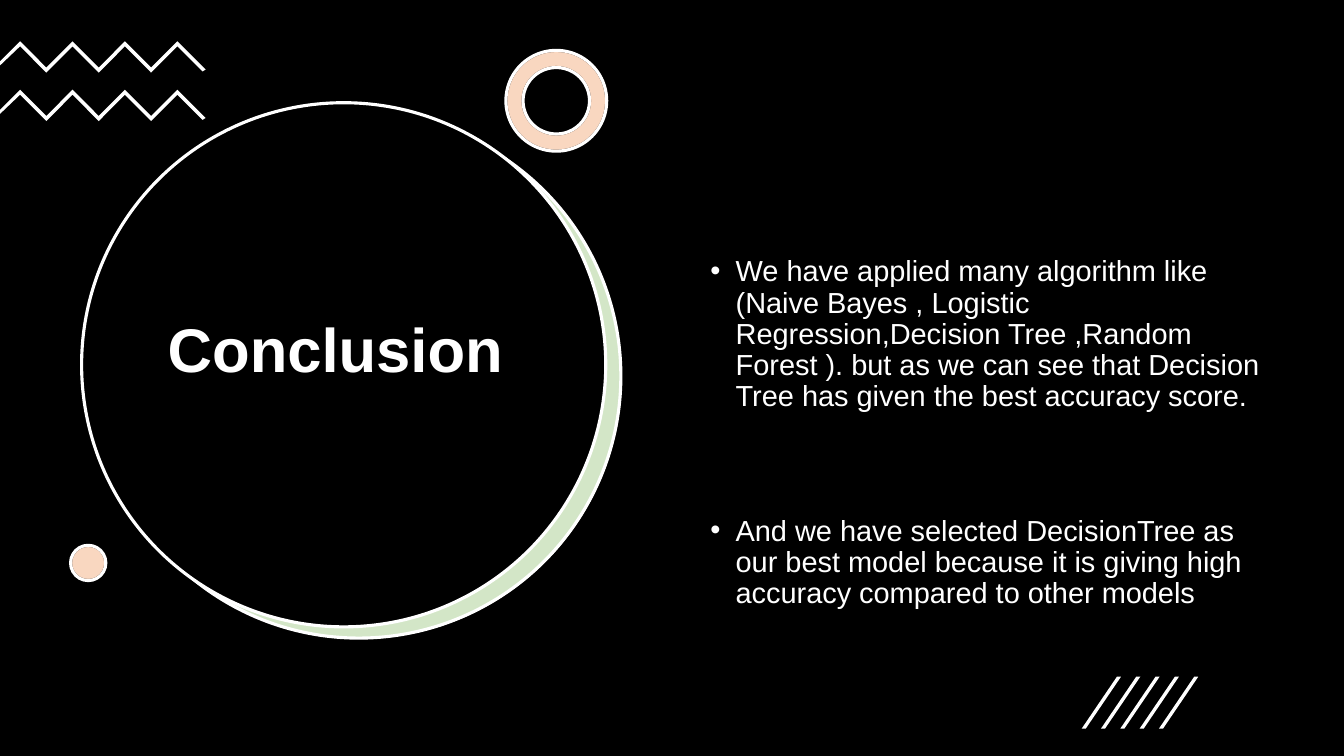
import pptx
import pptx.dml.color
import pptx.enum.shapes
import pptx.enum.text
import pptx.util
from lxml import etree

Pt = pptx.util.Pt
SHAPE = pptx.enum.shapes.MSO_SHAPE
ALIGN = pptx.enum.text.PP_ALIGN
ANCHOR = pptx.enum.text.MSO_ANCHOR

COLOURS = {"black": "000000", "white": "FFFFFF", "green": "70AD47", "orange": "ED7D31"}
FONT = "Arial"
BULLETS = [
    "We have applied many algorithm like (Naive Bayes , Logistic "
    "Regression,Decision Tree ,Random Forest ). but as we can see that "
    "Decision Tree has given the best accuracy score.",
    "And we\u00a0have selected\u00a0DecisionTree as our best model because\u00a0it "
    "is\u00a0giving high accuracy compared to other\u00a0models",
]


def colour(name):
    """Return the named colour."""
    return pptx.dml.color.RGBColor.from_string(COLOURS[name])


def paint(shape, fill, line=None, opacity=100):
    """Set fill, opacity and outline of a shape."""
    shape.shadow.inherit = False
    shape.fill.solid()
    shape.fill.fore_color.rgb = colour(fill)
    if opacity < 100:
        tint = shape.fill._xPr.find(".//" + pptx.oxml.ns.qn("a:srgbClr"))
        alpha = etree.SubElement(tint, pptx.oxml.ns.qn("a:alpha"))
        alpha.set("val", str(opacity * 1000))
    if line:
        shape.line.color.rgb = colour(line)
        shape.line.width = Pt(2.25)
    else:
        shape.line.fill.background()


def add_preset(page, kind, left, top, width, height, fill, line=None, opacity=100):
    """Add a painted preset shape."""
    shape = page.shapes.add_shape(kind, Pt(left), Pt(top), Pt(width), Pt(height))
    paint(shape, fill, line, opacity)
    return shape


def add_outline(page, points):
    """Add a closed white polygon."""
    corners = [(Pt(x), Pt(y)) for x, y in points]
    builder = page.shapes.build_freeform(*corners[0])
    builder.add_line_segments(corners[1:], close=True)
    paint(builder.convert_to_shape(), "white")


def add_zigzag(page, top):
    """Add a zigzag band that runs in from the left edge."""
    upper = [(14.4 + 18.72 * step, top + 18.8 * (step % 2)) for step in range(7)]
    lower = [(x, y + 3.6) for x, y in reversed(upper)]
    tip = [(146.9, top + 20.2), (144.7, top + 21.6)]
    edge = [(0, top + 17.3), (0, top + 14.4)]
    add_outline(page, upper + tip + lower + edge)


def add_tinted(page, kind, left, top, size, ring=None):
    """Add a pale orange shape on a white base."""
    for fill, line, opacity in (("white", "black", 100), ("orange", "white", 30)):
        shape = add_preset(page, kind, left, top, size, size, fill, line, opacity)
        if ring:
            shape.adjustments[0] = ring


def add_text(page, left, top, width, height, texts, size, bold=False):
    """Add a wrapped white text box with one paragraph per text."""
    box = page.shapes.add_textbox(Pt(left), Pt(top), Pt(width), Pt(height))
    frame = box.text_frame
    frame.word_wrap = True
    frame.text = "\n".join(texts)
    for para in frame.paragraphs:
        para.line_spacing = 0.9
        for span in para.runs:
            span.font.name = FONT
            span.font.size = Pt(size)
            span.font.bold = bold
            span.font.color.rgb = colour("white")
    return frame


def add_bullet(para):
    """Give a paragraph a hanging round bullet."""
    props = para._p.get_or_add_pPr()
    props.set("marL", str(Pt(18)))
    props.set("indent", str(-Pt(18)))
    face = etree.SubElement(props, pptx.oxml.ns.qn("a:buFont"))
    face.set("typeface", FONT)
    mark = etree.SubElement(props, pptx.oxml.ns.qn("a:buChar"))
    mark.set("char", "\u2022")


def add_title(page):
    """Add the heading inside the large circle."""
    frame = add_text(page, 87.1, 147.6, 317.5, 253.4, ["Conclusion"], 44, True)
    frame.vertical_anchor = ANCHOR.MIDDLE
    frame.margin_bottom = Pt(49)
    frame.margin_right = Pt(19.5)
    frame.paragraphs[0].alignment = ALIGN.CENTER


def add_body(page):
    """Add the two concluding bullets."""
    frame = add_text(page, 500.4, 50.4, 411, 406, BULLETS, 20.7)
    frame.margin_top = Pt(133)
    for para in frame.paragraphs:
        add_bullet(para)
    frame.paragraphs[1].space_before = Pt(73.6)


def main():
    """Build the conclusion slide."""
    deck = pptx.Presentation()
    deck.slide_width, deck.slide_height = Pt(960), Pt(540)
    page = deck.slides.add_slide(deck.slide_layouts[6])
    add_preset(page, SHAPE.RECTANGLE, 0, 0, 960, 540, "black")
    disc = 374.4
    add_preset(page, SHAPE.OVAL, 69.8, 82, disc, disc, "white")
    add_preset(page, SHAPE.OVAL, 69.1, 81.4, disc, disc, "green", "white", 30)
    add_preset(page, SHAPE.OVAL, 58.3, 73.4, disc, disc, "black", "white")
    add_title(page)
    for top in (29.5, 64.1):
        add_zigzag(page, top)
    add_tinted(page, SHAPE.DONUT, 361.4, 36, 72, ring=0.17)
    add_tinted(page, SHAPE.OVAL, 50.4, 389.5, 25.2)
    add_body(page)
    for step in range(5):
        left = 772.6 + 13.8 * step
        add_outline(page, [(left + 2.9, 520.5), (left, 520.5),
                           (left + 25.2, 483.4), (left + 28.1, 483.4)])
    deck.save("out.pptx")


main()
